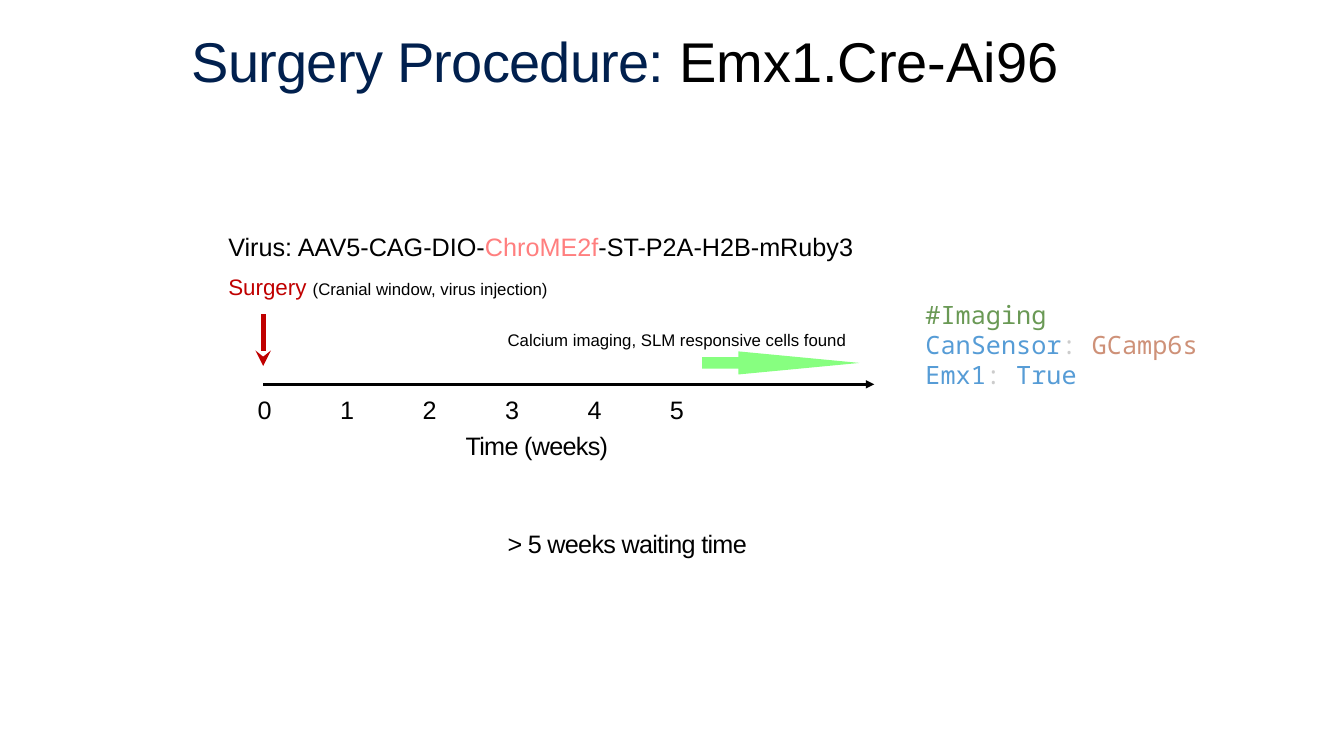
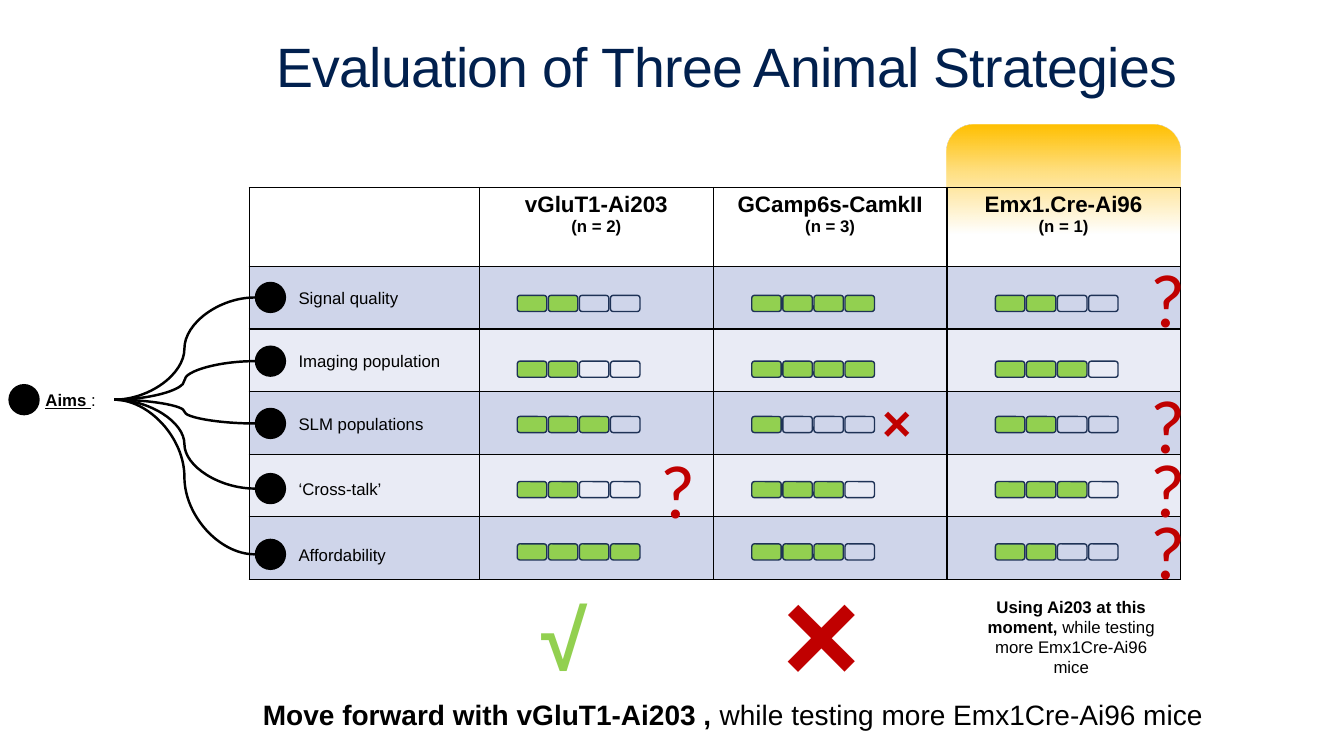
from dataclasses import dataclass
from typing import NamedTuple

from lxml.etree import SubElement
from pptx import Presentation
from pptx.dml.color import RGBColor
from pptx.enum.shapes import MSO_CONNECTOR as Line, MSO_SHAPE as Shape
from pptx.enum.text import MSO_ANCHOR as Anchor, MSO_AUTO_SIZE as AutoSize, PP_ALIGN as Align
from pptx.oxml import parse_xml
from pptx.oxml.ns import nsdecls, qn
from pptx.util import Pt


@dataclass(frozen=True)
class Theme:
    sans: str = "Arial"
    mono: str = "Noto Sans Mono"
    mark_font: str = "Calibri"
    title: str = "01204E"
    ink: str = "000000"
    red: str = "C00000"
    coral: str = "FF7F7F"
    mint: str = "87FF80"
    green: str = "92D050"
    outline: str = "1E3256"
    amber: str = "FFC000"
    bands: tuple = ("CFD5EA", "E9EBF5")
    code_comment: str = "6A9955"
    code_key: str = "569CD6"
    code_colon: str = "CCCCCC"
    code_value: str = "CE9178"
    title_size: float = 40
    body: float = 18
    sub: float = 16
    small: float = 12
    conclusion: float = 20
    tight: float = -0.5


THEME = Theme()


class Aim(NamedTuple):
    name: str
    y: float
    gauge_y: float
    scores: tuple


AIMS = (
    Aim("Signal quality", 212.5, 211, (2, 4, 2)),
    Aim("Imaging population", 258, 258, (2, 4, 3)),
    Aim("SLM populations", 302.5, 297.5, (3, 1, 2)),
    Aim("‘Cross-talk’", 349, 344, (2, 3, 3)),
    Aim("Affordability", 396, 388.5, (4, 3, 2)),
)


def rgb(color):
    return RGBColor.from_string(color)


def add_run(p, text, size=THEME.body, color=THEME.ink, font=THEME.sans,
            bold=False, underline=False, spacing=0):
    r = p.add_run()
    r.text = text
    f = r.font
    f.size, f.name, f.bold, f.underline = Pt(size), font, bold, underline
    f.color.rgb = rgb(color)
    if spacing:
        r.font._element.set("spc", str(round(spacing * 100)))


def write(tf, lines, align=Align.LEFT, tabs=(), **base):
    """Write lines; each is a string or a list of (text, format overrides)."""
    for i, line in enumerate(lines):
        p = tf.paragraphs[0] if i == 0 else tf.add_paragraph()
        p.alignment = align
        if tabs:
            tab_list = SubElement(p._p.get_or_add_pPr(), qn("a:tabLst"))
            for pos in tabs:
                SubElement(tab_list, qn("a:tab"), pos=str(Pt(pos)), algn="l")
        for text, fmt in [(line, {})] if isinstance(line, str) else line:
            add_run(p, text, **{**base, **fmt})


def set_borders(cell, color, width):
    tc_pr = cell._tc.get_or_add_tcPr()
    for i, side in enumerate(("lnL", "lnR", "lnT", "lnB")):
        tc_pr.insert(i, parse_xml(
            f'<a:{side} {nsdecls("a")} w="{Pt(width)}"><a:solidFill>'
            f'<a:srgbClr val="{color}"/></a:solidFill></a:{side}>'))


class Deck:
    def __init__(self, theme):
        self.theme = theme
        self.prs = Presentation()
        self.prs.slide_width, self.prs.slide_height = Pt(960), Pt(540)
        self.s = None

    def slide(self, title, x, y, w, h, size):
        self.s = self.prs.slides.add_slide(self.prs.slide_layouts[5])
        sp = self.s.shapes.title
        sp.left, sp.top, sp.width, sp.height = Pt(x), Pt(y), Pt(w), Pt(h)
        tf = sp.text_frame
        tf.auto_size, tf.vertical_anchor = AutoSize.NONE, Anchor.MIDDLE
        write(tf, [title], Align.CENTER, size=size, color=self.theme.title,
              spacing=self.theme.tight)
        tf.paragraphs[0].line_spacing = 0.9

    def text(self, lines, x, y, w, h, side_inset=7.2, **fmt):
        tf = self.s.shapes.add_textbox(Pt(x), Pt(y), Pt(w), Pt(h)).text_frame
        tf.word_wrap = True
        tf.margin_left = tf.margin_right = Pt(side_inset)
        write(tf, lines, **fmt)

    def shape(self, kind, x, y, w, h, fill=None, line=None, parent=None):
        sp = (parent or self.s).shapes.add_shape(kind, Pt(x), Pt(y), Pt(w), Pt(h))
        sp.shadow.inherit = False
        if fill:
            sp.fill.solid()
            sp.fill.fore_color.rgb = rgb(fill)
        else:
            sp.fill.background()
        if line:
            sp.line.color.rgb = rgb(line)
            sp.line.width = Pt(1)
        else:
            sp.line.fill.background()
        return sp

    def label(self, lines, x, y, w, h, **fmt):
        tf = self.shape(Shape.ROUNDED_RECTANGLE, x, y, w, h).text_frame
        tf.word_wrap, tf.vertical_anchor = True, Anchor.MIDDLE
        write(tf, lines, **fmt)

    def mark(self, symbol, x, y, size, color):
        self.label([symbol], x, y, 61, 55.5, align=Align.CENTER,
                   size=size, color=color, bold=True)

    def question(self, x, y):
        self.text(["?"], x, y, 26, 73, side_inset=0, align=Align.CENTER, size=54,
                  font=self.theme.mark_font, color=self.theme.red)

    def dot(self, x, center_y, size=22.4):
        self.shape(Shape.OVAL, x, center_y - size / 2, size, size, fill=self.theme.ink)

    def gauge(self, x, y, score, steps=4):
        group = self.s.shapes.add_group_shape()
        for i in range(steps):
            self.shape(Shape.ROUNDED_RECTANGLE, x + i * 22.2, y, 21, 11.5,
                       fill=self.theme.green if i < score else None,
                       line=self.theme.outline, parent=group)

    def line(self, x1, y1, x2, y2, color, width, kind=Line.STRAIGHT, head=None):
        c = self.s.shapes.add_connector(kind, Pt(x1), Pt(y1), Pt(x2), Pt(y2))
        c.line.color.rgb = rgb(color)
        c.line.width = Pt(width)
        sp_pr = c.element.spPr
        if head:
            SubElement(sp_pr.find(qn("a:ln")), qn("a:tailEnd"), type=head)
        SubElement(sp_pr, qn("a:effectLst"))

    def fading_panel(self, x, y, w, h, color):
        """Rounded panel that fades downwards from a solid colour to nothing."""
        sp = self.shape(Shape.ROUNDED_RECTANGLE, x, y, w, h)
        stops = "".join(
            f'<a:gs pos="{pos * 1000}"><a:srgbClr val="{color}">'
            f'<a:alpha val="{alpha * 1000}"/></a:srgbClr></a:gs>'
            for pos, alpha in ((0, 100), (28, 50), (66, 0)))
        sp_pr = sp.element.spPr
        sp_pr.replace(sp_pr.find(qn("a:noFill")), parse_xml(
            f'<a:gradFill {nsdecls("a")} rotWithShape="1"><a:gsLst>{stops}</a:gsLst>'
            '<a:lin ang="5400000" scaled="0"/></a:gradFill>'))

    def grid(self, headers, x, y, widths, heights):
        """Table with a clear header row, banded empty rows and black borders."""
        t = self.theme
        table = self.s.shapes.add_table(len(heights), len(widths), Pt(x), Pt(y),
                                        Pt(sum(widths)), Pt(sum(heights))).table
        table.first_row = table.horz_banding = False
        for col, width in zip(table.columns, widths):
            col.width = Pt(width)
        for i, (row, height) in enumerate(zip(table.rows, heights)):
            row.height = Pt(height)
            for cell in row.cells:
                if i:
                    cell.fill.solid()
                    cell.fill.fore_color.rgb = rgb(t.bands[(i - 1) % 2])
                else:
                    cell.fill.background()
                set_borders(cell, t.ink, 1)
        for col, (name, count) in enumerate(headers, 1):
            write(table.cell(0, col).text_frame,
                  [name, [(f"(n = {count})", dict(size=t.small))]],
                  Align.CENTER, size=t.sub, bold=True)


def surgery_slide(d):
    t = d.theme
    d.slide([("Surgery Procedure: ", {}), ("Emx1.Cre-Ai96", dict(color=t.ink, spacing=0))],
            32.5, 19, 828, 54, t.title_size)
    key, colon = dict(color=t.code_key), (": ", dict(color=t.code_colon))
    d.text([[("#Imaging", dict(color=t.code_comment))],
            [("CanSensor", key), colon, ("GCamp6s", dict(color=t.code_value))],
            [("Emx1", key), colon, ("True", key)]],
           654, 210, 296.5, 73, font=t.mono)

    d.line(188, 274.5, 624.5, 274.5, t.ink, 2, head="triangle")
    week = 58.9
    d.text(["\t".join("012345")], 177, 278, 397, 29,
           tabs=[week * i for i in range(1, 6)], spacing=t.tight)
    d.text(["Time (weeks)"], 325.5, 304, 203, 29, spacing=t.tight)
    d.line(188, 224.5, 188, 261.5, t.red, 3.75, head="stealth")

    d.text([[("Virus: AAV5-CAG-DIO-", {}), ("ChroME2f", dict(color=t.coral)),
             ("-ST-P2A-H2B-mRuby3", {})]], 156, 161.5, 482, 29)
    d.text([[("Surgery ", dict(size=t.sub, color=t.red)),
             ("(Cranial window, virus injection)", dict(size=t.small))]],
           156, 191.5, 357, 27)
    arrow = d.shape(Shape.RIGHT_ARROW, 501.5, 251, 112.5, 16.5, fill=t.mint)
    arrow.adjustments[0], arrow.adjustments[1] = 0.5, 5.25
    d.text(["Calcium imaging, SLM responsive cells found"], 355.5, 232, 436, 22, size=t.small)
    d.text(["> 5 weeks waiting time"], 355.5, 373.5, 330, 29, spacing=t.tight)


def evaluation_slide(d):
    t = d.theme
    d.slide("Evaluation of Three Animal Strategies", 132, 26, 774, 47.5, 39.6)
    d.fading_panel(676.5, 89, 167, 117.5, t.amber)
    d.grid([("vGluT1-Ai203", 2), ("GCamp6s-CamkII", 3), ("Emx1.Cre-Ai96", 1)],
           178, 134, [164.5, 167, 167, 166.5], [56.3] + [44.75] * len(AIMS))

    d.dot(6, 285.5)
    d.label([[("Aims ", dict(bold=True, underline=True)), (":", {})]],
            20, 258, 61, 55.5, align=Align.CENTER, size=t.small)
    for aim in AIMS:
        d.line(81.5, 285.5, 182, aim.y, t.ink, 1.75, kind=Line.CURVE)
        d.dot(182, aim.y)
        d.label([aim.name], 204.5, aim.y - 17.5, 235, 35, size=t.small)
        for x, score in zip((369.5, 537, 711), aim.scores):
            d.gauge(x, aim.gauge_y, score)

    for x, y in ((821, 176.5), (821, 266.5), (821, 312), (821, 356.5), (471, 313)):
        d.question(x, y)
    d.mark("√", 373, 427, 60, t.green)
    d.mark("×", 549.5, 422, 96, t.red)
    d.mark("×", 610.5, 273.5, 36, t.red)
    closing = "while testing more Emx1Cre-Ai96 mice"
    d.label([[("Using Ai203 at this moment, ", dict(bold=True)), (closing, {})]],
            687.5, 427, 155.5, 55.5, align=Align.CENTER, size=t.small)
    d.label([[("Move forward with vGluT1-Ai203 , ", dict(bold=True)), (closing, {})]],
            178, 482.5, 710, 55.5, size=t.conclusion)


def main():
    d = Deck(THEME)
    surgery_slide(d)
    evaluation_slide(d)
    d.prs.save("out.pptx")


if __name__ == "__main__":
    main()
